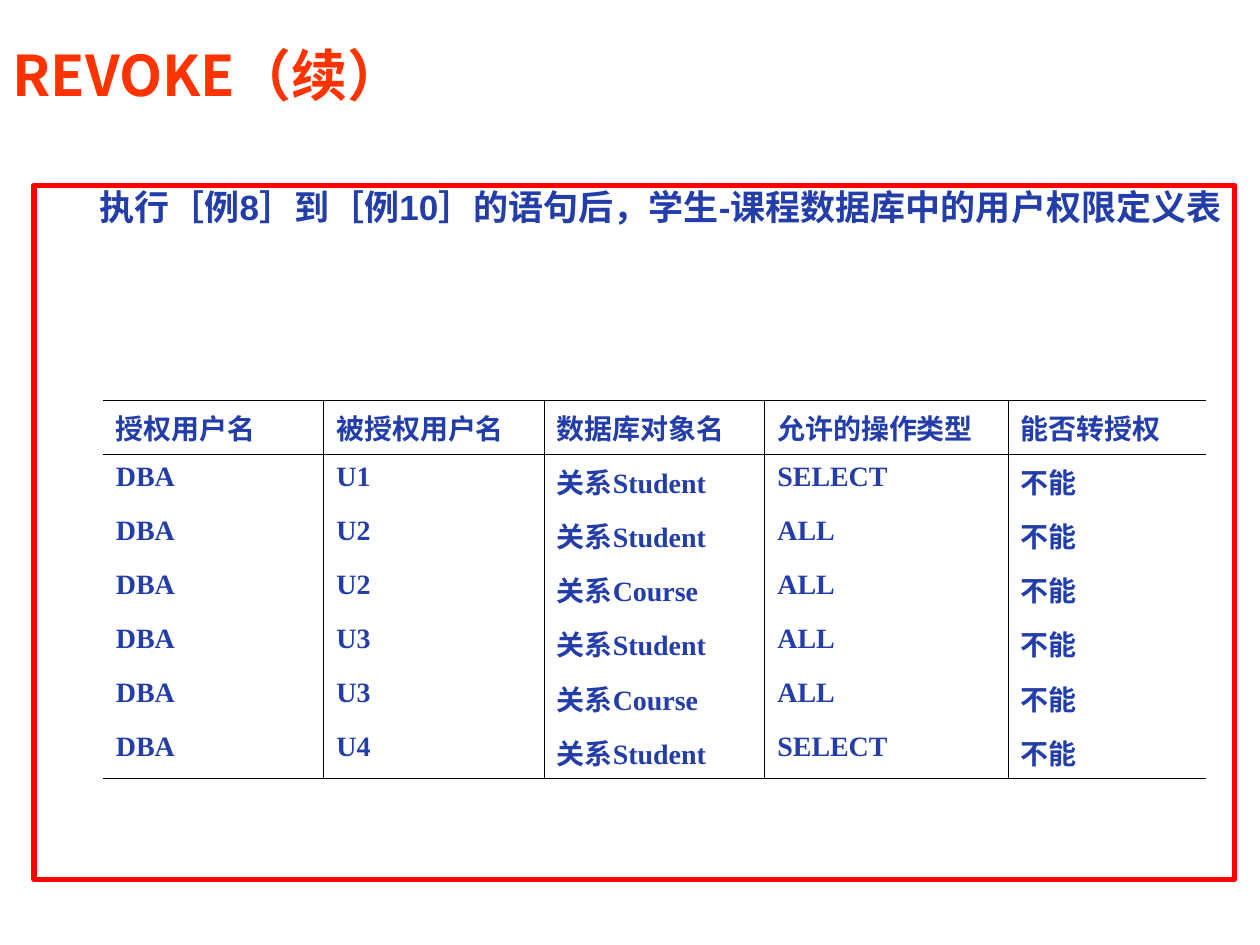
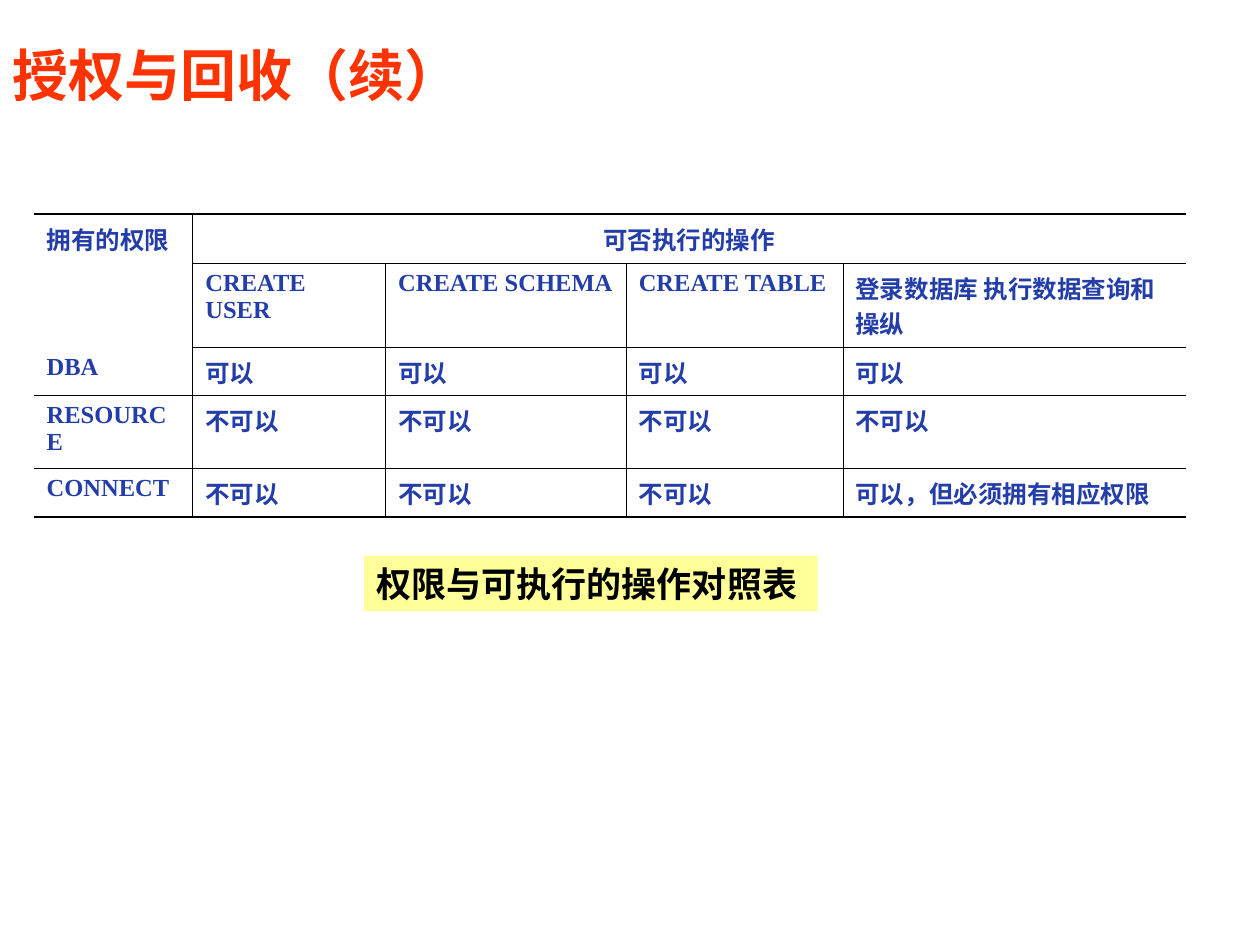
from lxml.etree import SubElement
from pptx import Presentation
from pptx.dml.color import RGBColor
from pptx.enum.lang import MSO_LANGUAGE_ID
from pptx.enum.shapes import MSO_SHAPE
from pptx.enum.text import MSO_ANCHOR, MSO_AUTO_SIZE, PP_ALIGN
from pptx.oxml.ns import qn
from pptx.util import Inches, Pt

INK = {
    "title": "FF3300",
    "text": "233DA9",
    "frame": "FF0000",
    "note": "FFFF99",
    "line": "000000",
}
HAN = "Noto Sans CJK SC"
SERIF = "Times New Roman"
UNIT = Inches(10) / 100
THIN, THICK = 0.45, 1.08


def grid(count):
    return round(count * UNIT)


def tint(name):
    return RGBColor.from_string(INK[name])


def write(para, text, size, color, face, align=PP_ALIGN.LEFT):
    para.alignment = align
    run = para.add_run()
    run.text = text
    font = run.font
    font.size, font.bold, font.name = Pt(size), True, face
    font.color.rgb = tint(color)
    font.language_id = MSO_LANGUAGE_ID.SIMPLIFIED_CHINESE
    SubElement(font._element, qn("a:ea")).set("typeface", HAN)


def pad(frame, wrap, fit, anchor):
    frame.margin_left = frame.margin_right = grid(1)
    frame.margin_top = frame.margin_bottom = grid(0.5)
    frame.word_wrap, frame.auto_size = wrap, fit
    frame.vertical_anchor = anchor


def start(deck, text):
    slide = deck.slides.add_slide(deck.slide_layouts[5])
    title = slide.shapes.title
    title.left, title.top = 0, grid(2.8)
    title.width, title.height = grid(80.8), grid(6.2)
    pad(title.text_frame, True, MSO_AUTO_SIZE.NONE, MSO_ANCHOR.MIDDLE)
    write(title.text_frame.paragraphs[0], text, 32, "title", HAN)
    return slide


def add_box(slide, spot):
    box = slide.shapes.add_shape(MSO_SHAPE.RECTANGLE, *map(grid, spot))
    box.shadow.inherit = False
    return box


def add_frame(slide, spot, text):
    box = add_box(slide, spot)
    box.fill.background()
    box.line.color.rgb = tint("frame")
    box.line.width = Pt(3)
    pad(box.text_frame, True, MSO_AUTO_SIZE.NONE, MSO_ANCHOR.TOP)
    para = box.text_frame.paragraphs[0]
    para.space_before = Pt(5)
    para.line_spacing = 0.85
    props = para._p.get_or_add_pPr()
    props.set("marL", str(grid(3.8)))
    props.set("indent", str(grid(0.4)))
    write(para, text, 20, "text", "Arial", PP_ALIGN.JUSTIFY)


def add_note(slide, spot, text):
    box = add_box(slide, spot)
    box.fill.solid()
    box.fill.fore_color.rgb = tint("note")
    box.line.fill.background()
    pad(box.text_frame, False, MSO_AUTO_SIZE.SHAPE_TO_FIT_TEXT, MSO_ANCHOR.MIDDLE)
    write(box.text_frame.paragraphs[0], text, 20, "line", SERIF)


def edge(cell, side, width):
    props = cell._tc.get_or_add_tcPr()
    line = SubElement(props, qn(f"a:ln{side}"))
    if width:
        line.set("w", str(Pt(width)))
        fill = SubElement(line, qn("a:solidFill"))
        SubElement(fill, qn("a:srgbClr")).set("val", INK["line"])
    else:
        SubElement(line, qn("a:noFill"))


def add_grid(slide, spot, cols, highs, data, size, rules, spans=()):
    rows, wide = len(highs), len(cols)
    frame = slide.shapes.add_table(
        rows, wide, *map(grid, (*spot, sum(cols), sum(highs)))
    )
    table = frame.table
    table.first_row = table.horz_banding = False
    for col, width in zip(table.columns, cols):
        col.width = grid(width)
    for row, high in zip(table.rows, highs):
        row.height = grid(high)

    owner = {(r, c): (r, c) for r in range(rows) for c in range(wide)}
    for top, left, low, right in spans:
        table.cell(top, left).merge(table.cell(low, right))
        for r in range(top, low + 1):
            for c in range(left, right + 1):
                owner[r, c] = (top, left)

    for (r, c), home in owner.items():
        cell = table.cell(r, c)
        for side, step in (("L", -1), ("R", 1)):
            near = owner.get((r, c + step), home)
            edge(cell, side, THIN if near != home else 0)
        for side, step, at in (("T", -1, r), ("B", 1, r + 1)):
            near = owner.get((r + step, c))
            edge(cell, side, rules.get(at, 0) if near != home else 0)
        cell.fill.background()
        cell.margin_left = cell.margin_right = grid(1)
        cell.margin_top = cell.margin_bottom = grid(0.5)
        if home == (r, c):
            across = any(s[:2] == home and s[3] > s[1] for s in spans)
            align = PP_ALIGN.CENTER if across else PP_ALIGN.LEFT
            cell.vertical_anchor = MSO_ANCHOR.MIDDLE if across else MSO_ANCHOR.TOP
            para = cell.text_frame.paragraphs[0]
            write(para, data[r][c], size, "text", SERIF, align)


def add_revoke(deck):
    slide = start(deck, "REVOKE（续）")
    text = "执行［例8］到［例10］的语句后，学生-课程数据库中的用户权限定义表"
    add_frame(slide, (2.7, 14.7, 95.3, 55.1), text)
    grants = [
        ("U1", "Student", "SELECT"),
        ("U2", "Student", "ALL"),
        ("U2", "Course", "ALL"),
        ("U3", "Student", "ALL"),
        ("U3", "Course", "ALL"),
        ("U4", "Student", "SELECT"),
    ]
    head = ("授权用户名", "被授权用户名", "数据库对象名", "允许的操作类型", "能否转授权")
    data = [head] + [("DBA", user, f"关系{name}", act, "不能") for user, name, act in grants]
    cols = [17.5] * 3 + [19.3, 15.7]
    highs = [4.3] * 6 + [3.9]
    rules = dict.fromkeys((0, 1, len(data)), THIN)
    add_grid(slide, (8.2, 31.8), cols, highs, data, 16, rules)


def add_rights(deck):
    slide = start(deck, "授权与回收（续）")
    data = [
        ("拥有的权限", "可否执行的操作"),
        ("", "CREATE USER", "CREATE SCHEMA", "CREATE TABLE", "登录数据库 执行数据查询和操纵"),
        ("DBA", *["可以"] * 4),
        ("RESOURCE", *["不可以"] * 4),
        ("CONNECT", *["不可以"] * 3, "可以，但必须拥有相应权限"),
    ]
    cols = [12.6, 15.3, 19.1, 17.2, 27.2]
    highs = [3.9, 5.7, 3.7, 5.8, 3.7]
    rules = {0: THICK, 5: THICK, **dict.fromkeys(range(1, 5), THIN)}
    spans = [(0, 0, 1, 0), (0, 1, 0, 4)]
    add_grid(slide, (2.7, 17), cols, highs, data, 14, rules, spans)
    add_note(slide, (28.9, 44.1, 36, 4.4), "权限与可执行的操作对照表")


def main():
    deck = Presentation()
    deck.slide_width, deck.slide_height = grid(100), grid(75)
    add_revoke(deck)
    add_rights(deck)
    deck.save("out.pptx")


if __name__ == "__main__":
    main()
